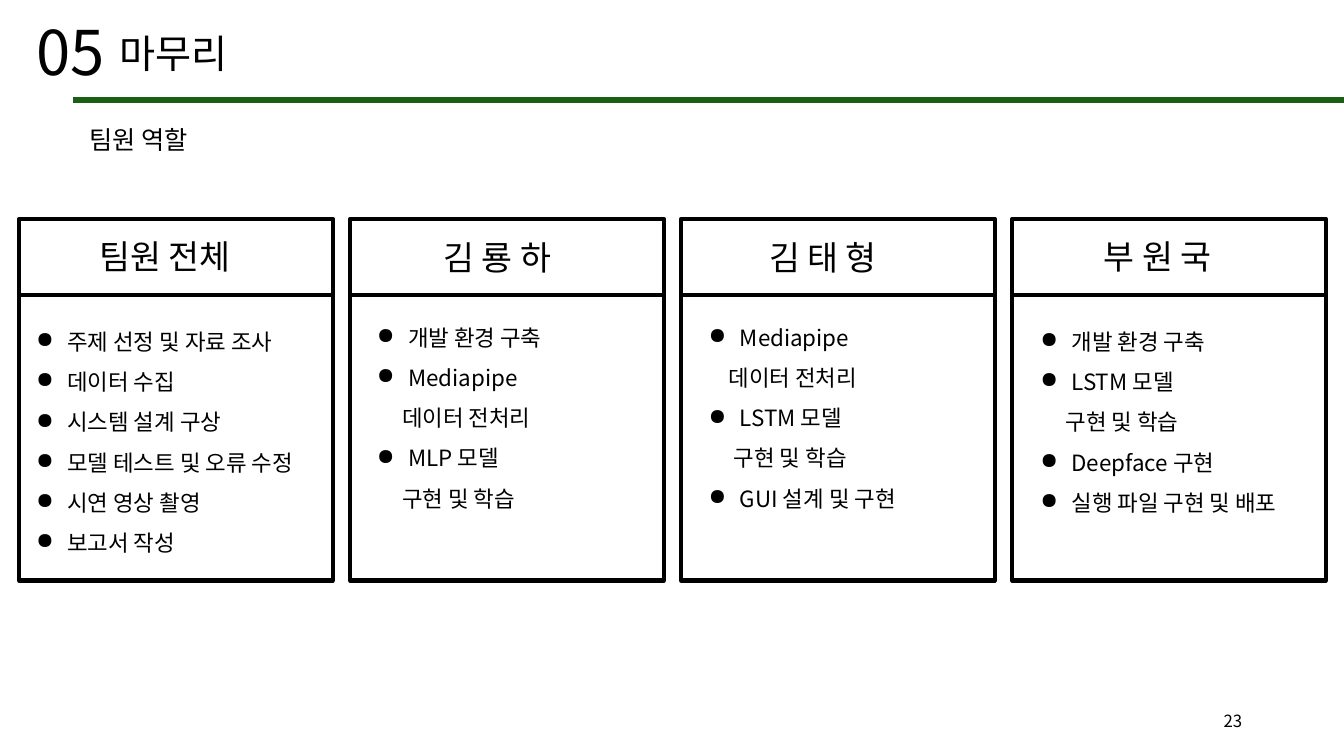
from dataclasses import dataclass

from lxml.etree import SubElement
from pptx import Presentation
from pptx.dml.color import RGBColor
from pptx.enum.shapes import MSO_CONNECTOR, MSO_SHAPE
from pptx.enum.text import MSO_ANCHOR, MSO_AUTO_SIZE, PP_ALIGN
from pptx.oxml.ns import qn
from pptx.util import Inches, Pt


@dataclass(frozen=True)
class Theme:
    font: str = "Noto Sans CJK KR"
    black: RGBColor = RGBColor(0x00, 0x00, 0x00)
    green: RGBColor = RGBColor(0x1D, 0x5E, 0x16)
    number_size: int = 44
    title_size: int = 28
    name_size: int = 24
    subtitle_size: int = 18
    task_size: int = 16
    page_size: int = 12
    rule_width: float = 4.5
    card_width: float = 3


@dataclass(frozen=True)
class Area:
    left: float
    top: float
    width: float
    height: float


@dataclass(frozen=True)
class Task:
    text: str
    indent: float = 0.31
    bullet: bool = True


@dataclass(frozen=True)
class Member:
    name: str
    name_area: Area
    task_area: Area
    tasks: tuple[Task, ...]


def more(text: str, indent: float = 0.25) -> Task:
    """A second line of the task above, without a bullet."""
    return Task(text, indent, bullet=False)


THEME = Theme()
CARD = Area(0.19, 2.17, 3.11, 3.59)
LAST_CARD_LEFT = 10.04
DIVIDER_TOP = 2.93

MEMBERS = (
    Member("팀원 전체", Area(0.89, 2.29, 1.7, 0.5), Area(0.26, 3.07, 3.11, 2.47), (
        Task("주제 선정 및 자료 조사"), Task("데이터 수집"), Task("시스템 설계 구상"),
        Task("모델 테스트 및 오류 수정"), Task("시연 영상 촬영"), Task("보고서 작성"))),
    Member("김 룡 하", Area(4.3, 2.3, 1.46, 0.5), Area(3.64, 3.03, 2.56, 2.47), (
        Task("개발 환경 구축"), Task("Mediapipe"), more("데이터 전처리"),
        Task("MLP 모델"), more("구현 및 학습"))),
    Member("김 태 형", Area(7.53, 2.3, 1.56, 0.5), Area(6.93, 3.03, 2.75, 2.47), (
        Task("Mediapipe"), more("데이터 전처리", 0.2), Task("LSTM 모델"),
        more("구현 및 학습"), Task("GUI 설계 및 구현"))),
    Member("부 원 국", Area(10.85, 2.29, 1.5, 0.5), Area(10.22, 3.07, 2.85, 2.07), (
        Task("개발 환경 구축"), Task("LSTM 모델"), more("구현 및 학습"),
        Task("Deepface 구현"), Task("실행 파일 구현 및 배포"))),
)


def add_text(page, area: Area, text: str, size: int, spacing: float = 1.0,
             anchor=MSO_ANCHOR.TOP, align=PP_ALIGN.LEFT):
    box = page.shapes.add_textbox(Inches(area.left), Inches(area.top),
                                  Inches(area.width), Inches(area.height))
    frame = box.text_frame
    frame.text = text
    frame.word_wrap = True
    frame.vertical_anchor = anchor
    if anchor == MSO_ANCHOR.TOP:
        frame.auto_size = MSO_AUTO_SIZE.SHAPE_TO_FIT_TEXT
    for paragraph in frame.paragraphs:
        paragraph.alignment = align
        paragraph.line_spacing = spacing
        for span in paragraph.runs:
            span.font.size = Pt(size)
            span.font.name = THEME.font
            span.font.color.rgb = THEME.black
            # Korean letters take the East Asian font
            SubElement(span.font._element, qn("a:ea")).set("typeface", THEME.font)
    return box


def add_line(shapes, left: float, right: float, top: float,
             color: RGBColor, width: float) -> None:
    line = shapes.add_connector(MSO_CONNECTOR.STRAIGHT, Inches(left), Inches(top),
                                Inches(right), Inches(top))
    line.line.color.rgb = color
    line.line.width = Pt(width)
    SubElement(line._element.spPr, qn("a:effectLst"))


def add_card(page, left: float) -> None:
    shapes = page.shapes.add_group_shape().shapes
    frame = shapes.add_shape(MSO_SHAPE.RECTANGLE, Inches(left), Inches(CARD.top),
                             Inches(CARD.width), Inches(CARD.height))
    frame.shadow.inherit = False
    frame.fill.background()
    frame.line.color.rgb = THEME.black
    frame.line.width = Pt(THEME.card_width)
    add_line(shapes, left, left + CARD.width, DIVIDER_TOP, THEME.black, THEME.card_width)


def add_tasks(page, member: Member) -> None:
    text = "\n".join(task.text for task in member.tasks)
    box = add_text(page, member.task_area, text, THEME.task_size, spacing=1.5)
    for paragraph, task in zip(box.text_frame.paragraphs, member.tasks):
        properties = paragraph._p.get_or_add_pPr()
        indent = Inches(task.indent)
        properties.set("marL", str(indent))
        properties.set("indent", str(-indent if task.bullet else 0))
        if task.bullet:
            SubElement(properties, qn("a:buChar")).set("char", "●")


def main() -> None:
    deck = Presentation()
    deck.slide_width = Inches(13.33)
    deck.slide_height = Inches(7.5)
    page = deck.slides.add_slide(deck.slide_layouts[6])

    # Heading
    add_text(page, Area(0.26, 0.09, 1.08, 0.84), "05", THEME.number_size)
    add_text(page, Area(1.09, 0.24, 6.61, 0.63), "마무리", THEME.title_size,
             spacing=0.9, anchor=MSO_ANCHOR.MIDDLE)
    add_line(page.shapes, 0.72, 13.33, 0.99, THEME.green, THEME.rule_width)
    add_text(page, Area(0.79, 1.18, 11.5, 0.45), "팀원 역할", THEME.subtitle_size,
             spacing=0.9, anchor=MSO_ANCHOR.MIDDLE)

    # One card per member
    pitch = (LAST_CARD_LEFT - CARD.left) / (len(MEMBERS) - 1)
    for index, member in enumerate(MEMBERS):
        add_card(page, CARD.left + index * pitch)
        add_text(page, member.name_area, member.name, THEME.name_size)
        add_tasks(page, member)

    # Page number
    add_text(page, Area(9.42, 6.95, 3, 0.4), "23", THEME.page_size,
             anchor=MSO_ANCHOR.MIDDLE, align=PP_ALIGN.RIGHT)

    deck.save("out.pptx")


if __name__ == "__main__":
    main()
